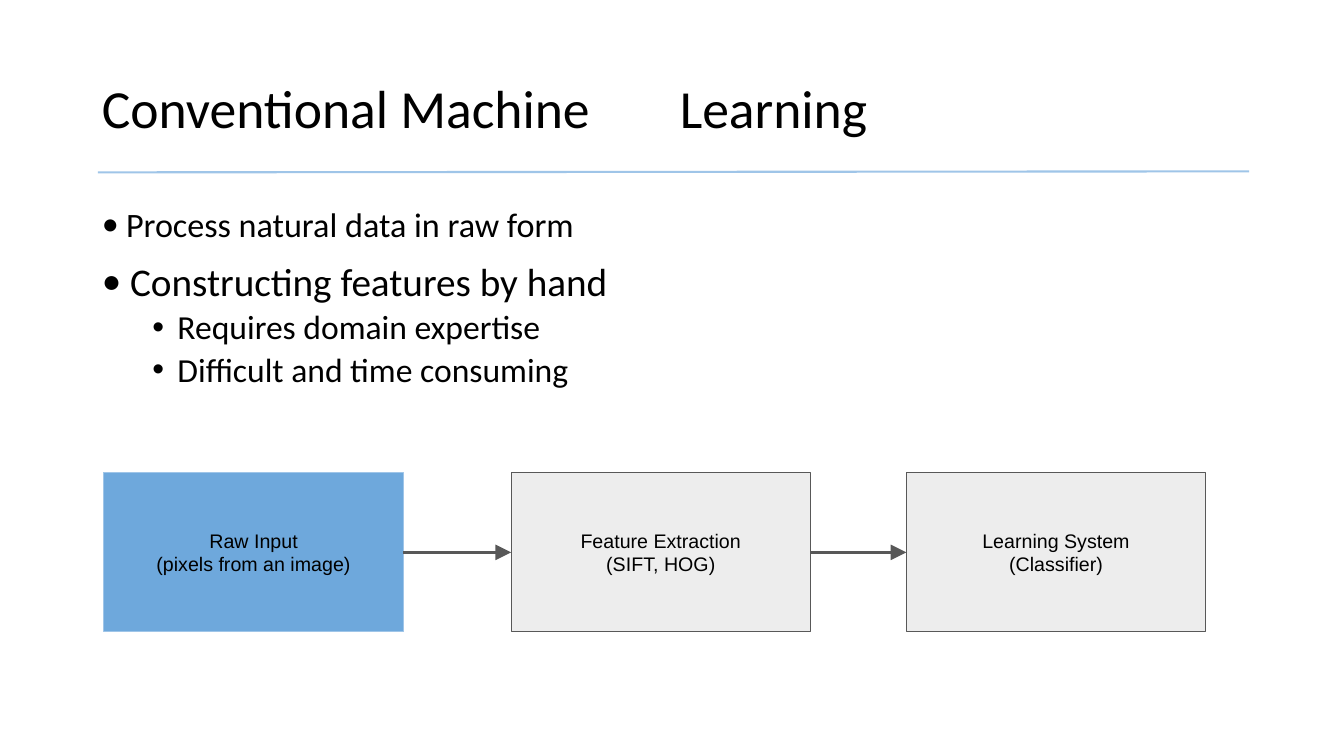
"""Build the slide on conventional machine learning and its three-step pipeline."""
from dataclasses import dataclass
from typing import Any

from lxml import etree
from pptx import Presentation
from pptx import util as u
from pptx.dml import color
from pptx.enum import shapes, text
from pptx.oxml import ns

WIDE, HIGH = u.Inches(13.333), u.Inches(7.5)
HUES = {"ink": "000000", "blue": "6EA8DC", "sky": "9FC5E8", "pale": "EDEDED", "gray": "585858"}
FRAME = {
    "margin_left": 0, "margin_top": 0, "margin_right": 0, "margin_bottom": 0,
    "word_wrap": True, "auto_size": text.MSO_AUTO_SIZE.NONE,
}
TOP = {**FRAME, "vertical_anchor": text.MSO_ANCHOR.TOP}
MID = {**FRAME, "vertical_anchor": text.MSO_ANCHOR.MIDDLE}


@dataclass(frozen=True)
class Point:
    words: str
    size: float
    gap: float
    left: float
    hang: float
    face: str


@dataclass(frozen=True)
class Step:
    words: str
    left: float
    fill: str
    edge: str


POINTS = [
    Point("Process natural data in raw form", 24.4, 0, 0.24, 0.24, "Calibri"),
    Point("Constructing features by hand", 28, 9, 0.28, 0.28, "Calibri"),
    Point("Requires domain expertise", 24, 1.5, 0.75, 0.25, "Arial"),
    Point("Difficult and time consuming", 24, 1.5, 0.75, 0.25, "Arial"),
]
STEPS = [
    Step("Raw Input\n(pixels from an image)", 7.73, "blue", "sky"),
    Step("Feature Extraction\n(SIFT, HOG)", 38.03, "pale", "gray"),
    Step("Learning System\n(Classifier)", 67.44, "pale", "gray"),
]
STEP_TOP, STEP_WIDE, STEP_HIGH = 62.53, 22.28, 21.07


def across(share: float) -> int:
    return int(WIDE * share / 100)


def down(share: float) -> int:
    return int(HIGH * share / 100)


def hue(name: str) -> color.RGBColor:
    return color.RGBColor.from_string(HUES[name])


def apply(item: Any, form: dict[str, Any]) -> None:
    for key, value in form.items():
        setattr(item, key, value)


def place(shape: Any, left: float, top: float, width: float, height: float) -> None:
    apply(shape, {"left": across(left), "top": down(top),
                  "width": across(width), "height": down(height)})


def add(parent: Any, tag: str, **attrs: str) -> Any:
    return etree.SubElement(parent, ns.qn(tag), attrs)


def set_type(para: Any, face: str, size: float, align: Any, gap: float = 0) -> None:
    apply(para, {"alignment": align, "line_spacing": 1.0,
                 "space_before": u.Pt(gap), "space_after": u.Pt(0)})
    for run in para.runs:
        apply(run.font, {"name": face, "size": u.Pt(size)})
        run.font.color.rgb = hue("ink")


def draw_title(shape: Any) -> None:
    place(shape, 7.58, 9.87, 85, 8.67)
    frame = shape.text_frame
    apply(frame, TOP)
    frame.text = "Conventional Machine\tLearning"
    para = frame.paragraphs[0]
    set_type(para, "Calibri", 38.3, text.PP_ALIGN.LEFT)
    tabs = add(para._p.get_or_add_pPr(), "a:tabLst")
    add(tabs, "a:tab", pos=str(across(43)), algn="l")


def draw_list(shape: Any) -> None:
    place(shape, 7.58, 26.93, 60, 25)
    frame = shape.text_frame
    apply(frame, TOP)
    frame.text = "\n".join(point.words for point in POINTS)
    for para, point in zip(frame.paragraphs, POINTS):
        para.level = int(point.left > point.hang)
        set_type(para, "Calibri", point.size, text.PP_ALIGN.LEFT, point.gap)
        props = para._p.get_or_add_pPr()
        props.set("marL", str(u.Inches(point.left)))
        props.set("indent", str(-u.Inches(point.hang)))
        add(props, "a:buFont", typeface=point.face)
        add(props, "a:buChar", char="•")


def draw_step(slide: Any, step: Step) -> Any:
    box = slide.shapes.add_shape(shapes.MSO_SHAPE.RECTANGLE, 0, 0, 0, 0)
    place(box, step.left, STEP_TOP, STEP_WIDE, STEP_HIGH)
    box.shadow.inherit = False
    box.fill.solid()
    box.fill.fore_color.rgb = hue(step.fill)
    box.line.color.rgb = hue(step.edge)
    box.line.width = u.Pt(0.75)
    apply(box.text_frame, MID)
    box.text_frame.text = step.words
    for para in box.text_frame.paragraphs:
        set_type(para, "Arial", 14, text.PP_ALIGN.CENTER)
    return box


def draw_line(slide: Any, ends: tuple[int, ...], tint: str, width: float) -> Any:
    line = slide.shapes.add_connector(shapes.MSO_CONNECTOR.STRAIGHT, *ends)
    line.line.color.rgb = hue(tint)
    line.line.width = u.Pt(width)
    add(line._element.spPr, "a:effectLst")
    return line


def draw_arrow(slide: Any, start: Any, stop: Any) -> None:
    arrow = draw_line(slide, (0, 0, 0, 0), "gray", 2.25)
    arrow.begin_connect(start, 3)
    arrow.end_connect(stop, 1)
    add(arrow.line._get_or_add_ln(), "a:tailEnd", type="triangle", w="lg", len="lg")


def main() -> None:
    deck = Presentation()
    apply(deck, {"slide_width": WIDE, "slide_height": HIGH})
    slide = deck.slides.add_slide(deck.slide_layouts[1])
    draw_title(slide.shapes.title)
    draw_list(slide.placeholders[1])
    rule = (across(7.28), down(22.8), across(92.95), down(22.67))
    draw_line(slide, rule, "sky", 1.5)
    boxes = [draw_step(slide, step) for step in STEPS]
    for start, stop in zip(boxes, boxes[1:]):
        draw_arrow(slide, start, stop)
    deck.save("out.pptx")


if __name__ == "__main__":
    main()
